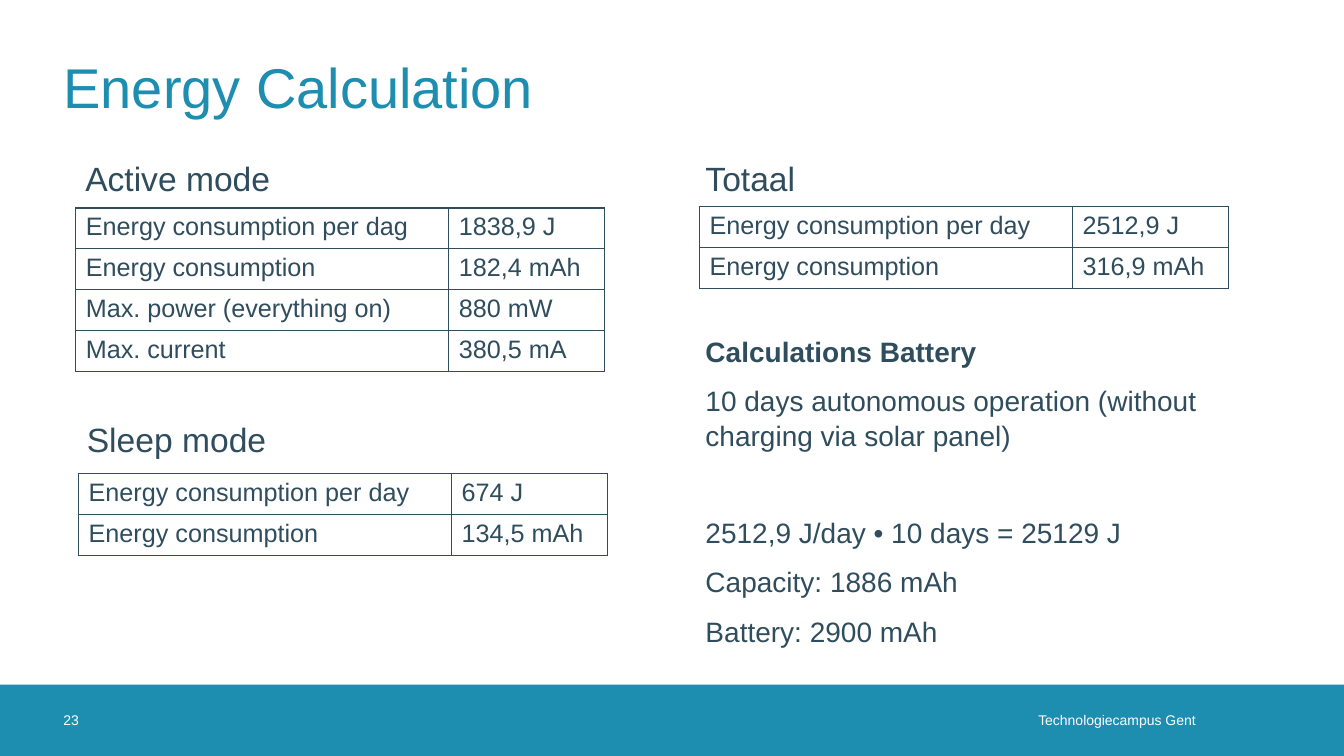
from lxml import etree
from pptx import Presentation
from pptx import util as u
from pptx.dml.color import RGBColor
from pptx.enum import shapes, text
from pptx.oxml.ns import qn

COLORS = {"accent": "1D8DB0", "ink": "2F4D5D", "white": "FFFFFF"}
FONT = "Arial"
SLIDE_WIDTH, SLIDE_HEIGHT = 33.87, 19.05
FOOTER_TOP, FOOTER_HEIGHT = 17.25, 1.8
COLUMN_WIDTHS = (9.4, 3.92)
ROW_HEIGHT = 1.03
PER_DAY = "Energy consumption per day"
TOTAL = "Energy consumption"


class EnergySlide:
    def __init__(self, presentation):
        self.slide = presentation.slides.add_slide(presentation.slide_layouts[5])

    def style(self, paragraph, size, color="ink", bold=False):
        for run in paragraph.runs:
            run.font.name = FONT
            run.font.size = u.Pt(size)
            run.font.bold = bold
            run.font.color.rgb = RGBColor.from_string(COLORS[color])

    def place(self, shape, left, top, width, height):
        shape.left, shape.top = u.Cm(left), u.Cm(top)
        shape.width, shape.height = u.Cm(width), u.Cm(height)

    def center_without_margins(self, frame, right=0):
        frame.margin_left = frame.margin_top = frame.margin_bottom = 0
        frame.margin_right = u.Cm(right)
        frame.vertical_anchor = text.MSO_ANCHOR.MIDDLE

    def title(self, wording, *box):
        title = self.slide.shapes.title
        self.place(title, *box)
        frame = title.text_frame
        frame.text = wording
        self.center_without_margins(frame)
        frame.paragraphs[0].alignment = text.PP_ALIGN.LEFT
        self.style(frame.paragraphs[0], 40, "accent")

    def band(self, *box):
        band = self.slide.shapes.add_shape(
            shapes.MSO_SHAPE.RECTANGLE, *map(u.Cm, box))
        band.shadow.inherit = False
        band.fill.solid()
        band.fill.fore_color.rgb = RGBColor.from_string(COLORS["accent"])
        band.line.fill.background()

    def text_box(self, wording, *box):
        frame = self.slide.shapes.add_textbox(*map(u.Cm, box)).text_frame
        frame.word_wrap = True
        frame.text = wording
        return frame

    def heading(self, wording, left, top):
        paragraph = self.text_box(wording, left, top, 6.63, 1.24).paragraphs[0]
        paragraph.line_spacing = 0.9
        self.style(paragraph, 24)

    def footer(self, wording, left, width, align, right=0):
        frame = self.text_box(wording, left, FOOTER_TOP, width, FOOTER_HEIGHT)
        self.center_without_margins(frame, right)
        frame.paragraphs[0].alignment = align
        self.style(frame.paragraphs[0], 10, "white")

    def calculations(self, lines, *box):
        frame = self.text_box("\n".join(wording for wording, _ in lines), *box)
        for paragraph, (_, space) in zip(frame.paragraphs, lines):
            paragraph.space_before = u.Pt(space)
            paragraph.line_spacing = 1.05
            self.style(paragraph, 20, bold=paragraph.text == lines[0][0])

    def border(self, cell):
        properties = cell._tc.get_or_add_tcPr()
        for position, side in enumerate(("lnL", "lnR", "lnT", "lnB")):
            line = etree.Element(qn(f"a:{side}"), w=str(u.Pt(1)))
            fill = etree.SubElement(line, qn("a:solidFill"))
            etree.SubElement(fill, qn("a:srgbClr"), val=COLORS["ink"])
            properties.insert(position, line)

    def table(self, rows, left, top):
        table = self.slide.shapes.add_table(
            len(rows), len(COLUMN_WIDTHS), u.Cm(left), u.Cm(top),
            u.Cm(sum(COLUMN_WIDTHS)), u.Cm(ROW_HEIGHT * len(rows))).table
        table.first_row = table.horz_banding = False
        for column, width in zip(table.columns, COLUMN_WIDTHS):
            column.width = u.Cm(width)
        for row, values in zip(table.rows, rows):
            row.height = u.Cm(ROW_HEIGHT)
            for cell, value in zip(row.cells, values):
                cell.text = value
                cell.fill.background()
                self.style(cell.text_frame.paragraphs[0], 18)
                self.border(cell)


def main():
    presentation = Presentation()
    presentation.slide_width = u.Cm(SLIDE_WIDTH)
    presentation.slide_height = u.Cm(SLIDE_HEIGHT)
    energy = EnergySlide(presentation)

    energy.band(0, FOOTER_TOP, SLIDE_WIDTH, FOOTER_HEIGHT)
    energy.footer("Technologiecampus Gent", 16.76, 13.87, text.PP_ALIGN.RIGHT, 0.5)
    energy.footer("23", 1.6, 1.8, text.PP_ALIGN.LEFT)
    energy.title("Energy Calculation", 1.6, 0.58, 30.66, 3.2)

    energy.heading("Active mode", 1.9, 3.96)
    energy.table([
        ("Energy consumption per dag", "1838,9 J"),
        (TOTAL, "182,4 mAh"),
        ("Max. power (everything on)", "880 mW"),
        ("Max. current", "380,5 mA"),
    ], 1.91, 5.24)

    energy.heading("Sleep mode", 1.94, 10.54)
    energy.table([(PER_DAY, "674 J"), (TOTAL, "134,5 mAh")], 1.98, 11.93)

    energy.heading("Totaal", 17.53, 3.96)
    energy.table([(PER_DAY, "2512,9 J"), (TOTAL, "316,9 mAh")], 17.63, 5.2)

    energy.calculations([
        ("Calculations Battery", 0),
        ("10 days autonomous operation (without charging via solar panel)", 10),
        ("2512,9 J/day • 10 days = 25129 J", 44),
        ("Capacity: 1886 mAh", 10),
        ("Battery: 2900 mAh", 10),
    ], 17.53, 8.25, 13.1, 8.5)

    presentation.save("out.pptx")


if __name__ == "__main__":
    main()
